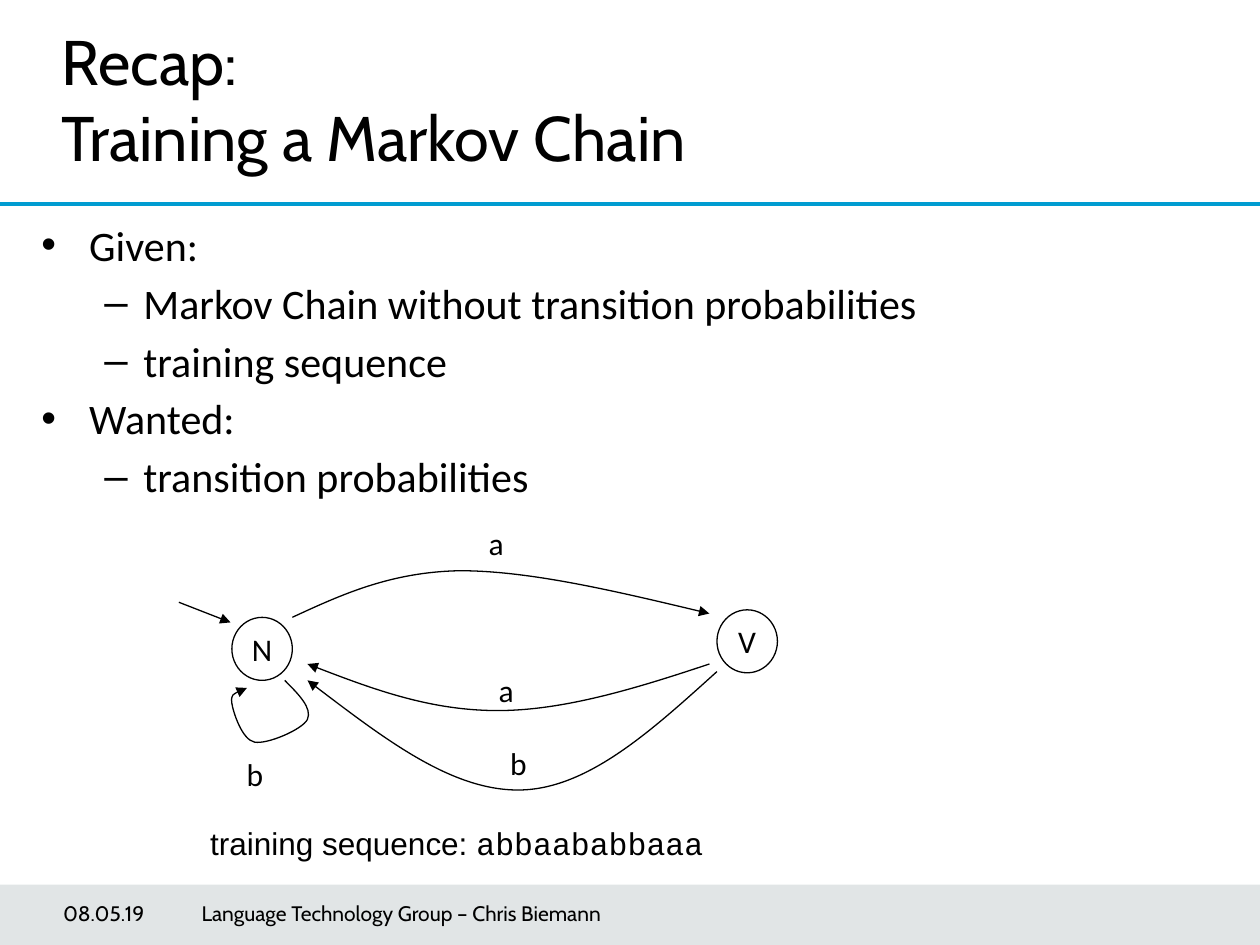
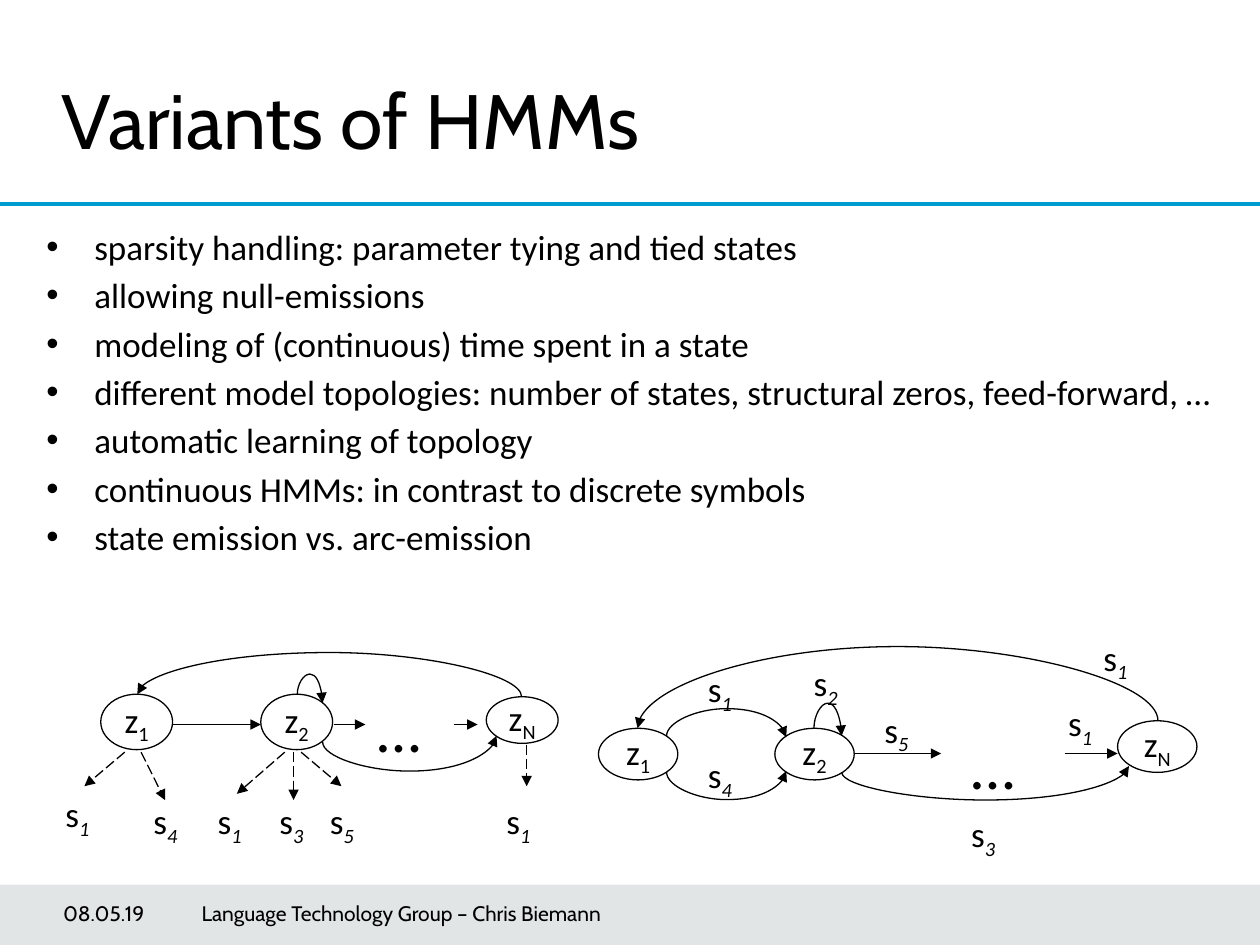
from itertools import pairwise

from lxml import etree
from pptx import Presentation
from pptx.dml.color import RGBColor
from pptx.enum.dml import MSO_LINE
from pptx.enum.shapes import MSO_CONNECTOR, MSO_SHAPE
from pptx.enum.text import MSO_ANCHOR, PP_ALIGN
from pptx.oxml.ns import qn
from pptx.util import Inches, Pt

STRAIGHT, CURVE = MSO_CONNECTOR.STRAIGHT, MSO_CONNECTOR.CURVE
OVAL, RECTANGLE = MSO_SHAPE.OVAL, MSO_SHAPE.RECTANGLE
TOP, MIDDLE = MSO_ANCHOR.TOP, MSO_ANCHOR.MIDDLE
LEFT, CENTER = PP_ALIGN.LEFT, PP_ALIGN.CENTER
LONG_DASH = MSO_LINE.LONG_DASH

COLORS = {"ink": "000000", "rule": "009CD1", "band": "3B515B"}
HEADING, BODY = "Cabin", "Calibri"

# The grid has 100 columns and 75 rows of a tenth of an inch
COLUMNS, ROWS = 100, 75
CELL = Inches(0.1)

# Bullet level: sign, text indent and hanging indent in columns
BULLETS = [("•", 3.8, 3.8), ("–", 8.1, 3.1)]


def cells(*counts):
    return [round(count * CELL) for count in counts]


def rgb(name):
    return RGBColor.from_string(COLORS[name])


def write(para, text, size=20, font=BODY, color="ink", italic_subscript=False):
    """Add text to a paragraph; what follows "_" is set as a subscript."""
    for index, part in enumerate(text.split("_")):
        span = para.add_run()
        span.text = part
        span.font.size, span.font.name = Pt(size), font
        span.font.color.rgb = rgb(color)
        if index:
            span.font.italic = italic_subscript
            span._r.get_or_add_rPr().set("baseline", "-25000")


class SlideBuilder:
    def __init__(self, deck):
        self.deck = deck

    def new_slide(self, title, title_row, title_size):
        self.slide = self.deck.slides.add_slide(self.deck.slide_layouts[6])
        self.canvas = self.slide.shapes
        # Footer band and header rule
        band = self.canvas.add_shape(RECTANGLE, *cells(0, 70.2, COLUMNS, 4.8))
        band.shadow.inherit = False
        band.line.fill.background()
        band.fill.solid()
        band.fill.fore_color.rgb = rgb("band")
        tint = band._element.spPr.find(".//" + qn("a:srgbClr"))
        etree.SubElement(tint, qn("a:alpha")).set("val", "15000")
        self.line((0, 16.2), (COLUMNS, 16.2), color="rule", width=2, arrow=False)
        # Title and footer texts
        frame = self.frame(3.9, title_row, 75.2, 9.2, wrap=True)
        para = frame.paragraphs[0]
        for index, row in enumerate(title.split("\n")):
            if index:
                para.add_line_break()
            write(para, row, title_size, HEADING)
        for column, width, text in [
            (5, 9.9, "08.05.19"),
            (16, 49.2, "Language Technology Group – Chris Biemann"),
        ]:
            frame = self.frame(column, 70.5, width, 4, wrap=True, anchor=MIDDLE)
            frame.margin_left = 0
            write(frame.paragraphs[0], text, 12, HEADING)

    def start_group(self):
        self.canvas = self.slide.shapes.add_group_shape().shapes

    def end_group(self):
        self.canvas = self.slide.shapes

    def frame(self, column, row, width, height, wrap=False, anchor=TOP):
        box = self.canvas.add_textbox(*cells(column, row, width, height))
        box.text_frame.word_wrap = wrap
        box.text_frame.vertical_anchor = anchor
        return box.text_frame

    def bullets(self, column, row, height, items, size):
        frame = self.frame(column, row, 94.5, height, wrap=True)
        for index, (level, text) in enumerate(items):
            para = frame.add_paragraph() if index else frame.paragraphs[0]
            para.level = level
            para.alignment = LEFT
            para.space_before = Pt(round(size * 0.18, 1) if index else 0)
            sign, indent, hanging = BULLETS[level]
            properties = para._p.get_or_add_pPr()
            properties.set("marL", str(cells(indent)[0]))
            properties.set("indent", str(-cells(hanging)[0]))
            etree.SubElement(properties, qn("a:buFont")).set("typeface", "Arial")
            etree.SubElement(properties, qn("a:buChar")).set("char", sign)
            write(para, text, size)

    def label(self, column, row, text, width=4.3, height=4.4, size=20):
        frame = self.frame(column, row, width, height)
        write(frame.paragraphs[0], text, size, italic_subscript=True)

    def state(self, column, row, width, height, text, size=20):
        node = self.canvas.add_shape(OVAL, *cells(column, row, width, height))
        node.shadow.inherit = False
        node.fill.background()
        self.stroke(node)
        frame = node.text_frame
        frame.word_wrap = False
        frame.vertical_anchor = MIDDLE
        frame.margin_left = frame.margin_right = 0
        frame.margin_top = frame.margin_bottom = 0
        frame.paragraphs[0].alignment = CENTER
        write(frame.paragraphs[0], text, size)

    def stroke(self, shape, color="ink", width=0.75, dash=None, arrow=False):
        shape.line.color.rgb = rgb(color)
        shape.line.width = Pt(width)
        if dash:
            shape.line.dash_style = dash
        if arrow:
            outline = shape._element.spPr.find(qn("a:ln"))
            etree.SubElement(outline, qn("a:tailEnd")).set("type", "triangle")

    def line(self, start, end, kind=STRAIGHT, arrow=True, **style):
        connector = self.canvas.add_connector(kind, *cells(*start, *end))
        self.stroke(connector, arrow=arrow, **style)
        etree.SubElement(connector._element.spPr, qn("a:effectLst"))
        return connector

    def arc(self, start, end, level):
        """Curved arrow that leaves and arrives vertically by way of a row."""
        connector = self.line(start, end, CURVE)
        (x0, y0), (x1, y1) = start, end
        # A quarter turn swaps width and height around the same centre
        width, height = abs(y1 - y0), abs(x1 - x0)
        corner = (x0 + x1 - width) / 2, (y0 + y1 - height) / 2
        (connector.left, connector.top,
         connector.width, connector.height) = cells(*corner, width, height)
        properties = connector._element.spPr
        frame = properties.find(qn("a:xfrm"))
        frame.set("rot", str(90 * 60000))
        frame.set("flipH", str(int(y1 < y0)))
        frame.set("flipV", str(int(x1 > x0)))
        bend = round((level - y0) / (y1 - y0) * 100000)
        guides = properties.find(".//" + qn("a:avLst"))
        guide = etree.SubElement(guides, qn("a:gd"))
        guide.set("name", "adj1")
        guide.set("fmla", f"val {bend}")

    def bezier(self, start, *points):
        """Curved arrow; each three points are two handles and a stop."""
        builder = self.canvas.build_freeform(*cells(*start))
        builder.add_line_segments([cells(*point) for point in points], close=False)
        curve = builder.convert_to_shape()
        curve.shadow.inherit = False
        curve.fill.background()
        self.stroke(curve, arrow=True)
        outline = curve._element.spPr.find(".//" + qn("a:path"))
        segments = outline.findall(qn("a:lnTo"))
        for index in range(0, len(segments), 3):
            cubic = etree.SubElement(outline, qn("a:cubicBezTo"))
            for segment in segments[index:index + 3]:
                cubic.append(segment[0])
                outline.remove(segment)


def markov_chain_slide(page):
    page.new_slide("Recap: \nTraining a Markov Chain", 1.3, 36)
    page.bullets(2.3, 16.9, 24.4, [
        (0, "Given:"),
        (1, "Markov Chain without transition probabilities"),
        (1, "training sequence"),
        (0, "Wanted:"),
        (1, "transition probabilities"),
    ], size=24)

    # Two states with their transitions
    page.start_group()
    page.state(18.4, 49, 4.8, 5, "N", size=18)
    page.state(56.9, 48.4, 4.8, 5, "V", size=18)
    page.bezier((22.6, 54), (23.7, 55.1), (24.8, 56.2), (24.4, 57.1),
                (24, 57.9), (21.2, 59.1), (20.2, 58.9),
                (19.2, 58.7), (18.5, 56.5), (18.4, 55.8),
                (18.3, 55.1), (19, 54.8), (19.6, 54.6))
    page.bezier((23.2, 49), (27.1, 47.2), (31, 45.4), (36.5, 45.3),
                (42, 45.3), (49.2, 47), (56.3, 48.7))
    page.bezier((56.3, 52.7), (50.6, 54.6), (44.8, 56.4), (39.5, 56.4),
                (34.2, 56.4), (29.3, 54.6), (24.4, 52.7))
    page.bezier((56.9, 53.3), (51.8, 57.9), (46.7, 62.6), (41.3, 62.7),
                (35.9, 62.8), (30.2, 58.4), (24.4, 54))
    for column, row, symbol in [(18.6, 59.4, "b"), (37.8, 41.1, "a"),
                                (38.6, 52.8, "a"), (39.5, 58.6, "b")]:
        page.label(column, row, symbol, width=3.2, height=4, size=18)
    page.end_group()
    page.line((14.2, 47.8), (18.3, 49.4))

    # Training sequence
    para = page.frame(15.7, 64.9, 41.5, 4).paragraphs[0]
    write(para, "training sequence: ", 18, "Arial")
    write(para, "abbaababbaaa", 18, "Courier New")


def variants_slide(page):
    page.new_slide("Variants of HMMs", 5.3, 44)
    page.bullets(2.7, 17.4, 52.4, [(0, text) for text in (
        "sparsity handling: parameter tying and tied states",
        "allowing null-emissions",
        "modeling of (continuous) time spent in a state",
        "different model topologies: number of states, structural zeros, feed-forward, …",
        "automatic learning of topology",
        "continuous HMMs: in contrast to discrete symbols",
        "state emission vs. arc-emission",
    )], size=20)

    # State emission: states, transitions, dashed emissions
    page.start_group()
    page.state(8, 55.1, 5.7, 4.4, "z_1")
    page.state(20.7, 55.1, 5.7, 4.4, "z_2")
    page.state(38.6, 55.3, 5.7, 3.7, "z_N")
    page.label(29, 54.2, "…", width=5.5, height=7.1, size=36)
    for start, end in [(13.7, 20.7), (26.5, 29), (36, 37.9)]:
        page.line((start, 57.5), (end, 57.5))
    page.arc((23.6, 55.1), (25.6, 55.8), 53.5)
    page.arc((25.6, 58.9), (39.4, 58.4), 61.2)
    page.arc((41.4, 55.3), (10.9, 55.1), 51.8)
    for start, end in [
        ((9.9, 59.7), (6.7, 62.4)), ((11.2, 59.7), (13.1, 63.5)),
        ((22.6, 59.7), (18.8, 63)), ((23.3, 59.7), (23.3, 63.5)),
        ((23.9, 59.7), (27.1, 62.4)), ((41.8, 59.1), (41.8, 62.4)),
    ]:
        page.line(start, end, dash=LONG_DASH)
    page.label(4.2, 62.4, "s_1")
    for column, symbol in [(11.2, "s_4"), (16.3, "s_1"), (21.2, "s_3"),
                           (25.2, "s_5"), (39.2, "s_1")]:
        page.label(column, 63, symbol)
    page.end_group()

    # Arc emission: states, transitions, symbols on the arcs
    page.start_group()
    for column, row, name in [(47.5, 57.8, "z_1"), (61.5, 57.8, "z_2"),
                              (88.7, 57.2, "z_N")]:
        page.state(column, row, 6.3, 4.1, name)
    page.label(76.1, 57.2, "…", width=5.5, height=7.1, size=36)
    for start, end in [(67.8, 74.7), (84.5, 88.7)]:
        page.line((start, 59.8), (end, 59.8))
    page.arc((52.9, 61.3), (62.4, 61.2), 63.5)
    page.arc((52.9, 58.4), (62.4, 58.5), 56.2)
    page.arc((66.8, 61.3), (89.6, 60.8), 63.5)
    page.arc((91.9, 57.2), (50.6, 57.8), 51.3)
    page.arc((64.6, 57.8), (66.8, 58.4), 55.8)
    for column, row, symbol in [
        (55.2, 52.5, "s_1"), (69.2, 55.7, "s_5"), (55.2, 59.3, "s_4"),
        (76.1, 64, "s_3"), (63.6, 52, "s_2"), (86.6, 50, "s_1"),
        (83.8, 55.2, "s_1"),
    ]:
        page.label(column, row, symbol)
    page.end_group()


def main():
    deck = Presentation()
    deck.slide_width, deck.slide_height = cells(COLUMNS, ROWS)
    page = SlideBuilder(deck)
    markov_chain_slide(page)
    variants_slide(page)
    deck.save("out.pptx")


if __name__ == "__main__":
    main()
